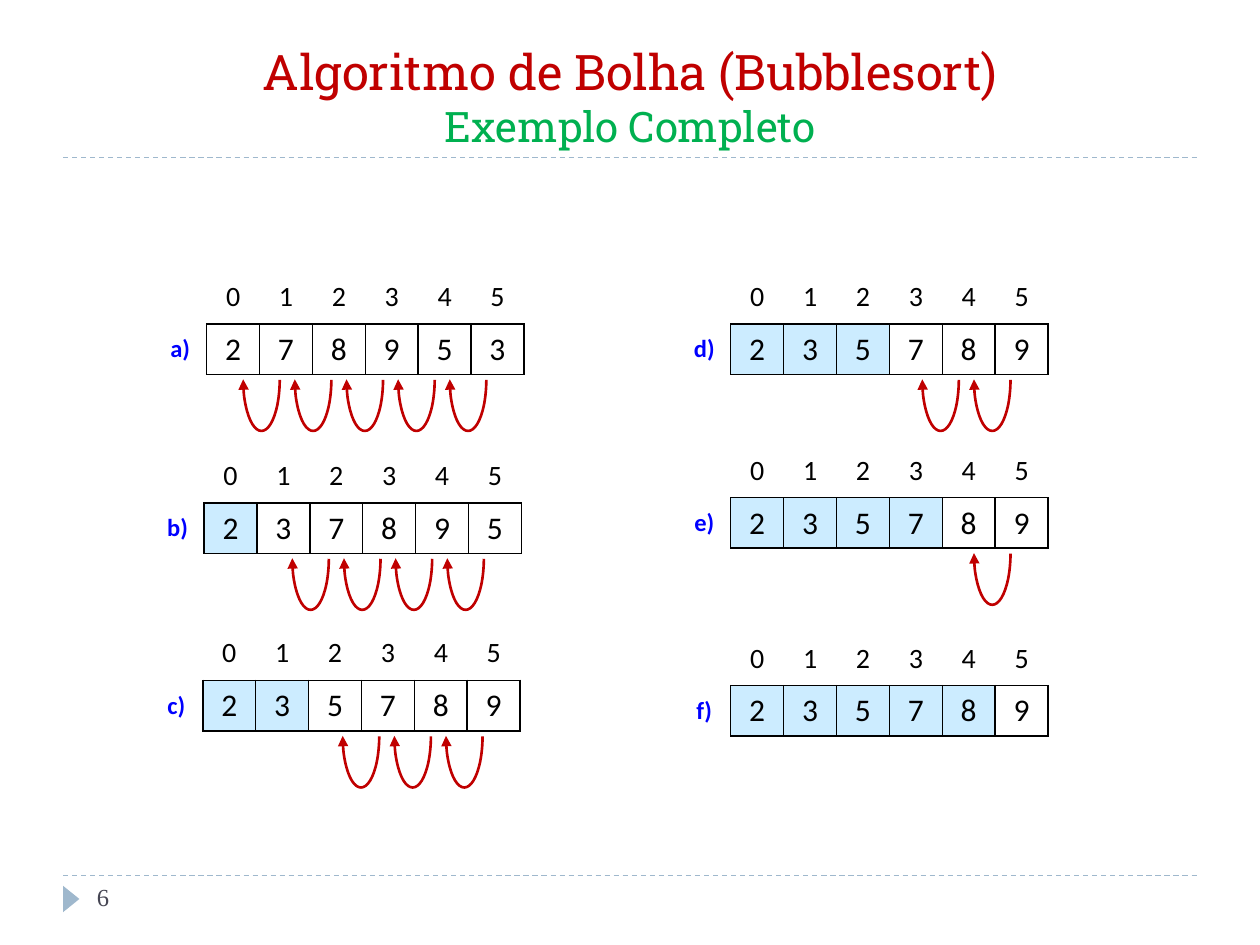
from lxml import etree
from pptx import Presentation
from pptx.dml.color import RGBColor
from pptx.enum.dml import MSO_LINE
from pptx.enum.shapes import MSO_CONNECTOR, MSO_SHAPE
from pptx.enum.text import MSO_ANCHOR, MSO_AUTO_SIZE, PP_ALIGN
from pptx.oxml.ns import qn
from pptx.util import Inches, Pt

ARC, TRIANGLE = MSO_SHAPE.ARC, MSO_SHAPE.ISOSCELES_TRIANGLE
STRAIGHT, DASH = MSO_CONNECTOR.STRAIGHT, MSO_LINE.DASH
CENTER = PP_ALIGN.CENTER
TOP, MIDDLE, BOTTOM = MSO_ANCHOR.TOP, MSO_ANCHOR.MIDDLE, MSO_ANCHOR.BOTTOM
NO_FIT = MSO_AUTO_SIZE.NONE

COLORS = {
    "title": "C00000",
    "subtitle": "00B050",
    "rule": "9FB8CD",
    "page": "464653",
    "ink": "000000",
    "label": "0000FF",
    "sorted": "CCECFF",
    "arrow": "C00000",
}
FORMATS = {
    "title": {"name": "Roboto Slab", "size": Pt(28)},
    "subtitle": {"name": "Roboto Slab", "size": Pt(24)},
    "page": {"name": "Times New Roman", "size": Pt(14)},
    "index": {"name": "Calibri", "size": Pt(16), "bold": False},
    "label": {"name": "Calibri", "size": Pt(14), "bold": True},
    "value": {"name": "Calibri", "size": Pt(18), "bold": False},
}
CELL = 0.42
INDEX_HEIGHT, VALUE_HEIGHT = 0.37, 0.4
ARC_STEP, ARC_LEFT, ARC_TOP = 0.41, 0.71, 0.43
ARC_WIDTH, ARC_HEIGHT = 0.29, 0.82

STEPS = [
    ("a)", 1.22, 2.17, "278953", 0),
    ("b)", 1.2, 3.59, "237895", 1),
    ("c)", 1.19, 5, "235789", 2),
    ("d)", 5.38, 2.17, "235789", 3),
    ("e)", 5.38, 3.55, "235789", 4),
    ("f)", 5.38, 5.04, "235789", 5),
]


def color(name):
    return RGBColor.from_string(COLORS[name])


def add_span(para, text, style, color_name):
    span = para.add_run()
    span.text = text
    for name, value in FORMATS[style].items():
        setattr(span.font, name, value)
    span.font.color.rgb = color(color_name)


def add_title(page, left, top, width, height):
    title = page.shapes.title
    title.left, title.top = Inches(left), Inches(top)
    title.width, title.height = Inches(width), Inches(height)
    frame = title.text_frame
    frame.auto_size, frame.vertical_anchor = NO_FIT, BOTTOM
    para = frame.paragraphs[0]
    para.alignment = CENTER
    add_span(para, "Algoritmo de Bolha (Bubblesort)", "title", "title")
    para.add_line_break()
    add_span(para, "Exemplo Completo", "subtitle", "subtitle")


def add_rule(page, left, top, width):
    rule = page.shapes.add_connector(
        STRAIGHT, Inches(left), Inches(top), Inches(left + width), Inches(top))
    rule.line.color.rgb = color("rule")
    rule.line.width, rule.line.dash_style = Pt(0.75), DASH
    etree.SubElement(rule._element.spPr, qn("a:effectLst"))


def add_footer(page, left, top, width):
    add_rule(page, left, top, width)
    marker = page.shapes.add_shape(
        TRIANGLE, Inches(left - 0.04), Inches(top + 0.12), Inches(0.21), Inches(0.13))
    marker.rotation = 90
    marker.shadow.inherit = False
    marker.fill.solid()
    marker.fill.fore_color.rgb = color("rule")
    marker.line.fill.background()
    box = page.shapes.add_textbox(
        Inches(left + 0.17), Inches(top), Inches(2.17), Inches(0.4))
    box.text_frame.word_wrap = True
    add_span(box.text_frame.paragraphs[0], "6", "page", "page")


def set_borders(cell, sides):
    properties = cell._tc.get_or_add_tcPr()
    for side in "LRTB":
        line = etree.SubElement(properties, qn(f"a:ln{side}"), w=str(Pt(1)))
        if side in sides:
            fill = etree.SubElement(line, qn("a:solidFill"))
            etree.SubElement(fill, qn("a:srgbClr"), val=COLORS["ink"])
        else:
            etree.SubElement(line, qn("a:noFill"))


def fill_cell(cell, text, style, color_name, borders, is_sorted=False):
    set_borders(cell, borders)
    if is_sorted:
        cell.fill.solid()
        cell.fill.fore_color.rgb = color("sorted")
    else:
        cell.fill.background()
    cell.vertical_anchor = TOP if style == "index" else MIDDLE
    para = cell.text_frame.paragraphs[0]
    para.alignment = CENTER
    if text:
        add_span(para, text, style, color_name)


def add_swap_arrow(page, left, top):
    arrow = page.shapes.add_shape(
        ARC, Inches(left), Inches(top), Inches(ARC_WIDTH), Inches(ARC_HEIGHT))
    arrow.rotation = 180
    arrow.adjustments[0], arrow.adjustments[1] = 109.04, 0
    arrow.shadow.inherit = False
    arrow.fill.background()
    arrow.line.color.rgb = color("arrow")
    arrow.line.width = Pt(1.5)
    etree.SubElement(arrow.line._get_or_add_ln(), qn("a:tailEnd"), type="triangle")


def add_step(page, left, top, label, values, sorted_count):
    columns = len(values) + 1
    table = page.shapes.add_table(
        2, columns, Inches(left), Inches(top),
        Inches(CELL * columns), Inches(INDEX_HEIGHT + VALUE_HEIGHT)).table
    table.first_row = table.horz_banding = False
    for column in table.columns:
        column.width = Inches(CELL)
    for row, height in zip(table.rows, (INDEX_HEIGHT, VALUE_HEIGHT)):
        row.height = Inches(height)
    fill_cell(table.cell(0, 0), "", "index", "ink", "")
    fill_cell(table.cell(1, 0), label, "label", "label", "R")
    for index, value in enumerate(values):
        fill_cell(table.cell(0, index + 1), str(index), "index", "ink", "B")
        fill_cell(table.cell(1, index + 1), value, "value", "ink", "LRTB",
                  index < sorted_count)
    for index in reversed(range(sorted_count, len(values) - 1)):
        add_swap_arrow(page, left + ARC_LEFT + ARC_STEP * index, top + ARC_TOP)


def main():
    deck = Presentation()
    deck.slide_width, deck.slide_height = Inches(10), Inches(7.5)
    page = deck.slides.add_slide(deck.slide_layouts[5])
    add_rule(page, 0.5, 1.25, 9)
    add_footer(page, 0.5, 6.95, 9)
    add_title(page, 0.5, 0.25, 9, 1)
    for label, left, top, values, sorted_count in STEPS:
        add_step(page, left, top, label, values, sorted_count)
    deck.save("out.pptx")


if __name__ == "__main__":
    main()
